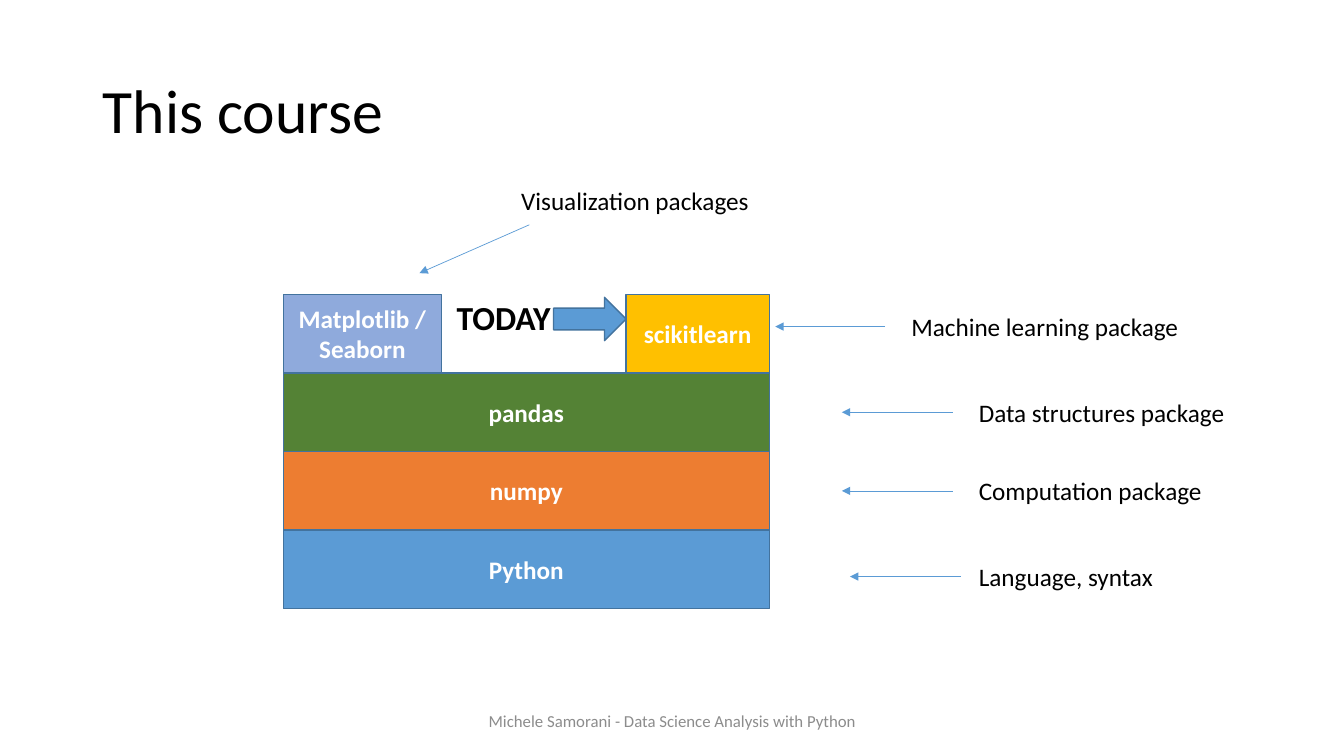
"""Build the "This course" slide showing the Python package stack."""
from dataclasses import dataclass

from lxml.etree import SubElement
from pptx import Presentation
from pptx.dml.color import RGBColor
from pptx.enum.shapes import MSO_CONNECTOR, MSO_SHAPE
from pptx.enum.text import MSO_ANCHOR, PP_ALIGN
from pptx.oxml.ns import qn
from pptx.shapes.autoshape import Shape
from pptx.slide import Slide
from pptx.util import Inches, Pt


@dataclass(frozen=True)
class Theme:
    font: str = "Calibri"
    title_size: int = 44
    today_size: int = 24
    body_size: int = 18
    footer_size: int = 12
    text: str = "000000"
    on_fill: str = "FFFFFF"
    footer: str = "8C8C8C"
    blue: str = "5B9BD5"
    outline: str = "43739E"
    orange: str = "ED7D31"
    green: str = "548235"
    periwinkle: str = "8FAADC"
    gold: str = "FFC000"


@dataclass(frozen=True)
class Block:
    text: str
    row: int
    fill: str
    left: float
    width: float


@dataclass(frozen=True)
class Label:
    text: str
    left: float
    top: float
    width: float
    start: tuple[float, float]
    end: tuple[float, float]


THEME = Theme()
STACK_LEFT, STACK_TOP, STACK_WIDTH, ROW_HEIGHT = 2.81, 2.92, 4.82, 0.78
LABEL_HEIGHT = 0.4

BLOCKS = [
    Block("Python", 3, THEME.blue, STACK_LEFT, STACK_WIDTH),
    Block("numpy", 2, THEME.orange, STACK_LEFT, STACK_WIDTH),
    Block("pandas", 1, THEME.green, STACK_LEFT, STACK_WIDTH),
    Block("Matplotlib /\nSeaborn", 0, THEME.periwinkle, STACK_LEFT, 1.57),
    Block("scikitlearn", 0, THEME.gold, 6.21, 1.42),
]

LABELS = [
    Label("Language, syntax", 9.61, 5.52, 1.95, (9.53, 5.72), (8.43, 5.72)),
    Label("Computation package", 9.61, 4.67, 2.5, (9.45, 4.87), (8.35, 4.87)),
    Label("Data structures package", 9.61, 3.89, 2.66, (9.45, 4.09), (8.35, 4.09)),
    Label("Machine learning package", 8.94, 3.04, 2.94, (8.78, 3.24), (7.69, 3.24)),
    Label("Visualization packages", 5.07, 1.79, 2.49, (5.25, 2.23), (4.16, 2.71)),
]


def write(sp: Shape, text: str, *, size: int = THEME.body_size, color: str = THEME.text,
          bold: bool = False, align: PP_ALIGN = PP_ALIGN.LEFT,
          anchor: MSO_ANCHOR = MSO_ANCHOR.TOP, wrap: bool = True,
          spacing: float = 1.0) -> None:
    tf = sp.text_frame
    tf.text = text
    tf.word_wrap = wrap
    tf.vertical_anchor = anchor
    for p in tf.paragraphs:
        p.alignment = align
        p.line_spacing = spacing
        for r in p.runs:
            r.font.name = THEME.font
            r.font.size = Pt(size)
            r.font.bold = bold
            r.font.color.rgb = RGBColor.from_string(color)


def add_box(slide: Slide, left: float, top: float, width: float, height: float) -> Shape:
    return slide.shapes.add_textbox(Inches(left), Inches(top), Inches(width), Inches(height))


def add_filled(slide: Slide, kind: MSO_SHAPE, left: float, top: float, width: float,
               height: float, fill: str) -> Shape:
    sp = slide.shapes.add_shape(kind, Inches(left), Inches(top), Inches(width), Inches(height))
    sp.shadow.inherit = False
    sp.fill.solid()
    sp.fill.fore_color.rgb = RGBColor.from_string(fill)
    sp.line.color.rgb = RGBColor.from_string(THEME.outline)
    sp.line.width = Pt(1)
    return sp


def add_block(slide: Slide, block: Block) -> None:
    top = STACK_TOP + block.row * ROW_HEIGHT
    sp = add_filled(slide, MSO_SHAPE.RECTANGLE, block.left, top, block.width, ROW_HEIGHT,
                    block.fill)
    write(sp, block.text, color=THEME.on_fill, bold=True, align=PP_ALIGN.CENTER,
          anchor=MSO_ANCHOR.MIDDLE)


def add_arrow(slide: Slide, start: tuple[float, float], end: tuple[float, float]) -> None:
    points = [Inches(v) for v in (*start, *end)]
    cxn = slide.shapes.add_connector(MSO_CONNECTOR.STRAIGHT, *points)
    cxn.line.color.rgb = RGBColor.from_string(THEME.blue)
    cxn.line.width = Pt(0.5)
    SubElement(cxn.line._get_or_add_ln(), qn("a:tailEnd"), type="triangle")
    SubElement(cxn._element.spPr, qn("a:effectLst"))


def add_label(slide: Slide, label: Label) -> None:
    add_arrow(slide, label.start, label.end)
    write(add_box(slide, label.left, label.top, label.width, LABEL_HEIGHT), label.text, wrap=False)


def set_title(slide: Slide, text: str) -> None:
    title = slide.shapes.title
    title.left, title.top = Inches(0.92), Inches(0.4)
    title.width, title.height = Inches(11.5), Inches(1.45)
    write(title, text, size=THEME.title_size, anchor=MSO_ANCHOR.MIDDLE, spacing=0.9)


def main() -> None:
    prs = Presentation()
    prs.slide_width, prs.slide_height = Inches(13.33), Inches(7.5)
    slide = prs.slides.add_slide(prs.slide_layouts.get_by_name("Title Only"))
    set_title(slide, "This course")
    for block in BLOCKS:
        add_block(slide, block)
    for label in LABELS:
        add_label(slide, label)
    add_filled(slide, MSO_SHAPE.RIGHT_ARROW, 5.49, 2.95, 0.72, 0.43, THEME.blue)
    write(add_box(slide, 3.93, 2.9, 2.13, 0.5), "TODAY", size=THEME.today_size, bold=True,
          align=PP_ALIGN.CENTER)
    write(add_box(slide, 4.42, 6.95, 4.5, 0.4),
          "Michele Samorani - Data Science Analysis with Python", size=THEME.footer_size,
          color=THEME.footer, align=PP_ALIGN.CENTER, anchor=MSO_ANCHOR.MIDDLE)
    prs.save("out.pptx")


if __name__ == "__main__":
    main()
